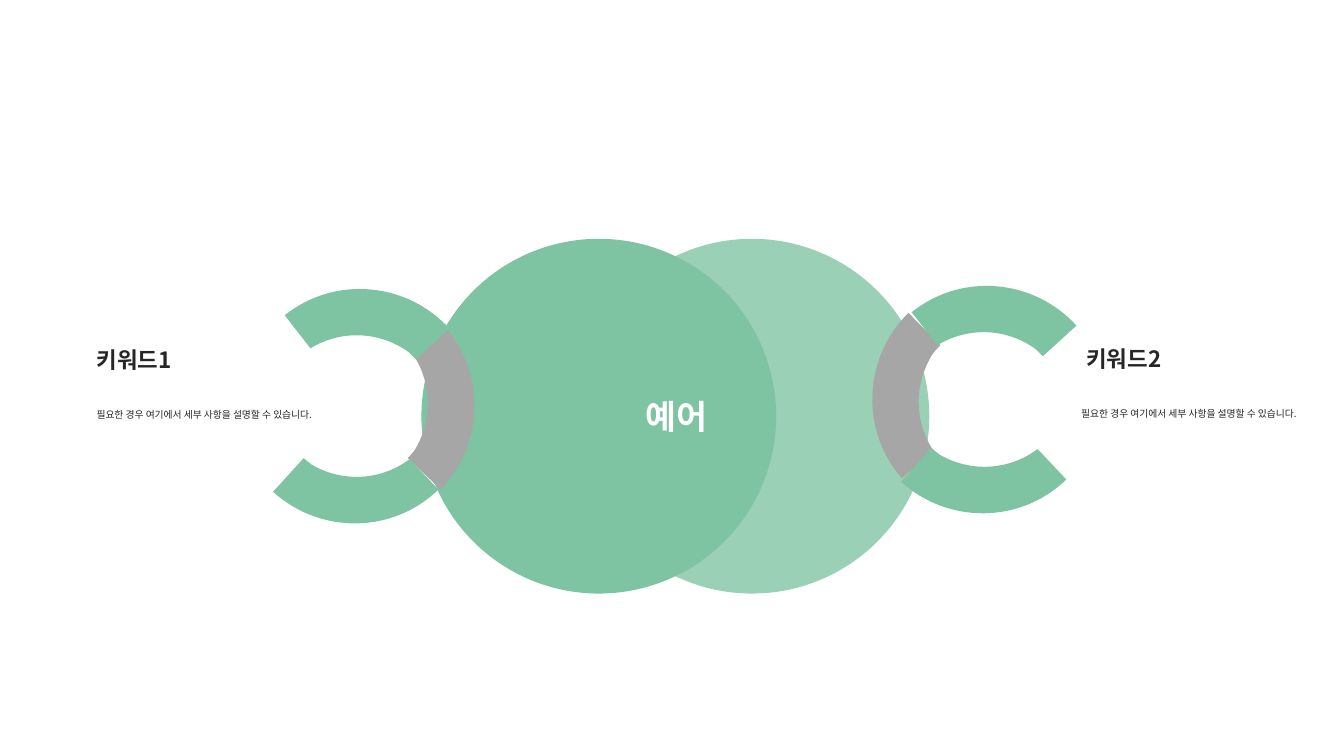
import pptx
import pptx.dml.color
import pptx.enum.shapes
import pptx.enum.text
import pptx.oxml
import pptx.oxml.ns
import pptx.util
from lxml import etree

Pt = pptx.util.Pt
qn = pptx.oxml.ns.qn
ALIGN = pptx.enum.text.PP_ALIGN

GREEN = pptx.dml.color.RGBColor(0x7E, 0xC3, 0xA2)
GRAY = pptx.dml.color.RGBColor(0xA6, 0xA6, 0xA6)
DARK = pptx.dml.color.RGBColor(0x26, 0x26, 0x26)
WHITE = pptx.dml.color.RGBColor(0xFF, 0xFF, 0xFF)
FONT = "Noto Sans CJK KR"
DETAIL = "필요한 경우 여기에서 세부 사항을 설명할 수 있습니다."

BAND_CORNERS = [(86.4, 32.4), (79.2, 32.8), (29.8, 82.8), (0, 80.5), (86.4, 0)]
BAND_CURVES = {
    2: [(54.3, 38), (34.8, 57.3), (29.8, 82.8)],
    4: [(2.9, 35.1), (40.9, 0), (86.4, 0)],
}


def paint(shape, color):
    """Give a shape a plain fill without outline or shadow."""
    shape.shadow.inherit = False
    shape.fill.solid()
    shape.fill.fore_color.rgb = color
    shape.line.fill.background()


def add_text(slide, text, box, size, color=DARK, bold=False, align=ALIGN.LEFT):
    """Place one line of text, centred vertically in its box."""
    shape = slide.shapes.add_textbox(*(Pt(length) for length in box))
    frame = shape.text_frame
    frame.word_wrap = True
    frame.vertical_anchor = pptx.enum.text.MSO_ANCHOR.MIDDLE
    paragraph = frame.paragraphs[0]
    paragraph.alignment = align
    run = paragraph.add_run()
    run.text = text
    run.font.size = Pt(size)
    run.font.bold = bold
    run.font.name = FONT
    run.font.color.rgb = color
    etree.SubElement(run.font._element, qn("a:ea"), typeface=FONT)


def add_band(slide, left, top, rotation, color):
    """Draw one curved band and turn it."""
    builder = slide.shapes.build_freeform(Pt(86.4), 0)
    builder.add_line_segments([(Pt(x), Pt(y)) for x, y in BAND_CORNERS], close=True)
    shape = builder.convert_to_shape(Pt(left), Pt(top))
    lines = list(shape._element.iter(qn("a:lnTo")))
    for index, points in BAND_CURVES.items():
        curve = etree.Element(qn("a:cubicBezTo"))
        for x, y in points:
            etree.SubElement(curve, qn("a:pt"), x=str(Pt(x)), y=str(Pt(y)))
        lines[index].getparent().replace(lines[index], curve)
    shape.rotation = rotation
    paint(shape, color)


def add_center(slide, left, top, width, height):
    """Draw the two overlapping circles, each as tall as the box."""
    group = slide.shapes.add_group_shape()
    for offset, alpha in ((width - height, "78000"), (0, None)):
        circle = group.shapes.add_shape(
            pptx.enum.shapes.MSO_SHAPE.OVAL,
            Pt(left + offset), Pt(top), Pt(height), Pt(height))
        paint(circle, GREEN)
        if alpha:
            color = circle._element.spPr.find(qn("a:solidFill"))[0]
            etree.SubElement(color, qn("a:alpha"), val=alpha)


def add_ring(slide, left, top, bands):
    """Draw a gray link with a green band below and above it."""
    for (x, y, rotation), color in zip(bands, (GRAY, GREEN, GREEN)):
        add_band(slide, left + x, top + y, rotation, color)


def add_keyword(slide, left, top, title, title_offset, width, align):
    """Place a detail line with its keyword title above."""
    add_text(slide, DETAIL, (left, top + 44.6, width, 15.8), 7, align=align)
    add_text(slide, title, (left + title_offset, top, 116, 26.6), 16, bold=True)


def main():
    """Build the slide and save it."""
    presentation = pptx.Presentation()
    presentation.slide_width = Pt(960)
    presentation.slide_height = Pt(540)
    slide = presentation.slides.add_slide(presentation.slide_layouts[6])
    add_center(slide, 301, 170.6, 362.8, 253.4)
    add_ring(slide, 211.7, 189.4,
             [(59.7, 59, 133.6), (0, 118.8, 222.2), (6.5, 0, 47.6)])
    add_ring(slide, 604.1, 187.2,
             [(0, 54.7, 315.3), (56.1, 113.8, 222.2), (61.9, 0, 47.6)])
    add_text(slide, "예어", (396.7, 279.4, 173.5, 36), 24,
             color=WHITE, bold=True, align=ALIGN.CENTER)
    add_keyword(slide, 61.9, 243.4, "키워드1", 0, 207.4, ALIGN.LEFT)
    add_keyword(slide, 716.4, 242.6, "키워드2", 52.6, 216.7, ALIGN.RIGHT)
    presentation.save("out.pptx")


if __name__ == "__main__":
    main()
